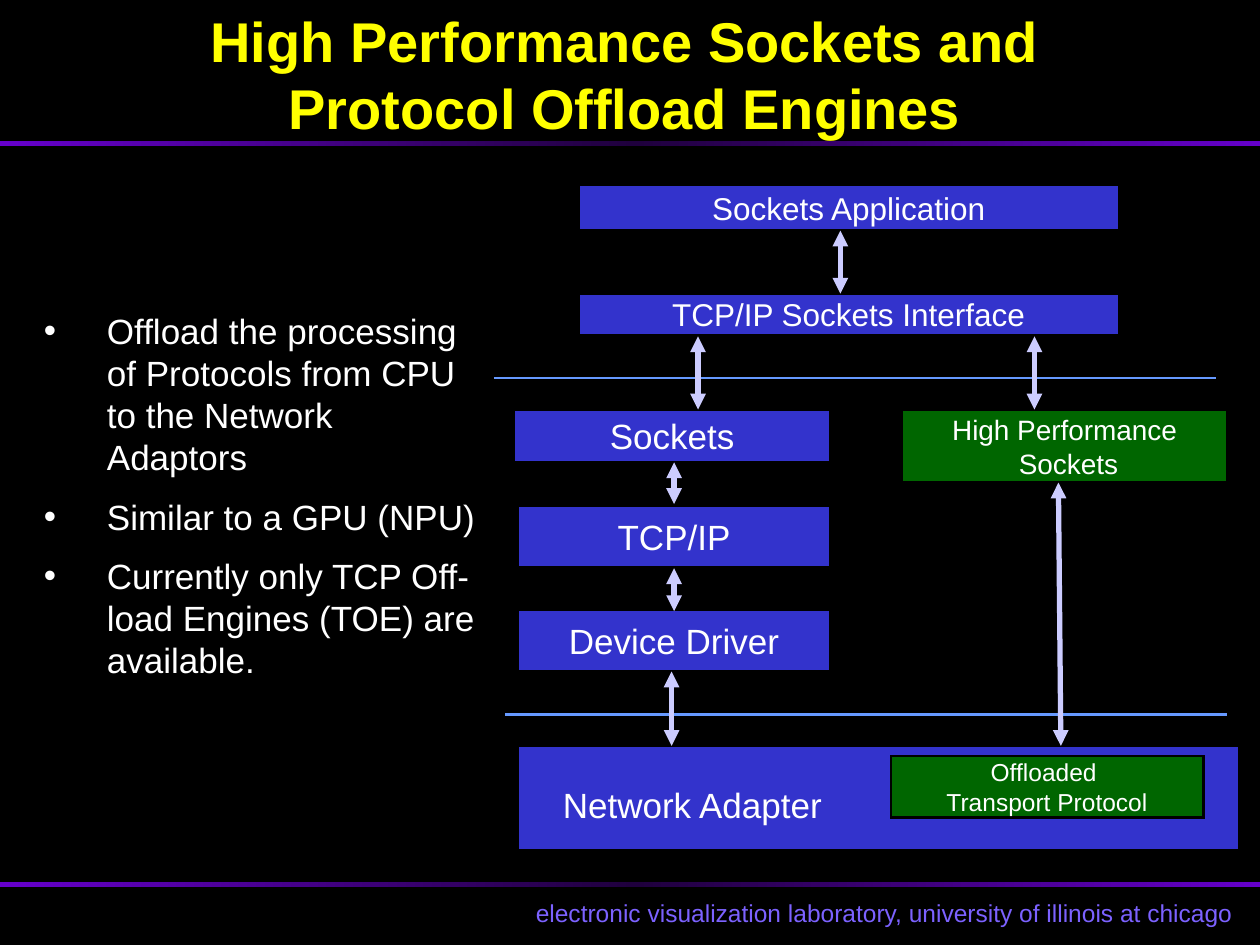
from copy import deepcopy
from pptx import Presentation
from pptx.dml.color import RGBColor
from pptx.enum.shapes import MSO_CONNECTOR as Link, MSO_SHAPE as Preset
from pptx.enum.text import MSO_ANCHOR as Anchor, MSO_AUTO_SIZE as Fit, PP_ALIGN as Align
from pptx.oxml.ns import qn
from pptx.util import Inches, Pt
from lxml.etree import SubElement

BLUE, GREEN, BLACK, WHITE = "3333CC", "006600", "000000", "FFFFFF"
YELLOW, VIOLET, LAVENDER, SKY = "FFFF00", "7C62FF", "CCCCFF", "6699FF"
RULE_STOPS = ((0, "6600CC"), (0.5, "1F003D"), (1, "6600CC"))


def color(hex_code):
    """Turn a hex string into a colour."""
    return RGBColor.from_string(hex_code)


def inches(*lengths):
    """Turn plain numbers into lengths."""
    return [Inches(length) for length in lengths]


def write(frame, lines, size, ink=WHITE, align=Align.CENTER, bold=False,
          anchor=Anchor.MIDDLE, wrap=True, gap=0):
    """Fill a text frame with one paragraph for each line."""
    frame.word_wrap, frame.vertical_anchor = wrap, anchor
    for number, line in enumerate(lines):
        para = frame.add_paragraph() if number else frame.paragraphs[0]
        para.text, para.alignment = line, align
        para.space_before = Pt(gap if number else 0)
        for run in para.runs:
            look = {"name": "Arial", "size": Pt(size), "bold": bold}
            for key, value in look.items():
                setattr(run.font, key, value)
            run.font.color.rgb = color(ink)


def add_block(slide, box, fill=None, outline=BLACK):
    """Add a plain rectangle."""
    block = slide.shapes.add_shape(Preset.RECTANGLE, *inches(*box))
    block.shadow.inherit = False
    if fill:
        block.fill.solid()
        block.fill.fore_color.rgb = color(fill)
    else:
        block.fill.background()
    if outline:
        block.line.color.rgb, block.line.width = color(outline), Pt(1.5)
        SubElement(block.line._get_or_add_ln(), qn("a:miter"), lim="800000")
    else:
        block.line.fill.background()
    return block


def add_line(slide, start, end, ink, width, arrows=False):
    """Add a straight line, with arrowheads at both ends if asked."""
    line = slide.shapes.add_connector(Link.STRAIGHT, *inches(*start, *end))
    line.line.color.rgb, line.line.width = color(ink), Pt(width)
    if arrows:
        for tag in ("a:headEnd", "a:tailEnd"):
            SubElement(line.line._get_or_add_ln(), qn(tag), type="triangle")
    SubElement(line._element.spPr, qn("a:effectLst"))


def add_rule(slide, top):
    """Add a gradient band across the slide."""
    band = add_block(slide, (0, top, 10.08, 0.04), outline=None)
    band.fill.gradient()
    band.fill.gradient_angle = 0
    stops = band.fill._fill._gradFill.find(qn("a:gsLst"))
    stops.append(deepcopy(stops[0]))
    for stop, (position, hex_code) in zip(band.fill.gradient_stops, RULE_STOPS):
        stop.position, stop.color.rgb = position, color(hex_code)


def place(shape, box):
    """Move a shape to a box."""
    for side, length in zip(("left", "top", "width", "height"), inches(*box)):
        setattr(shape, side, length)


def add_frame(slide):
    """Add the title, the two bands and the footer."""
    for top in (1.12, 7):
        add_rule(slide, top)
    title = slide.shapes.title
    place(title, (0.42, 0, 9.08, 1.17))
    write(title.text_frame, ["High Performance Sockets and\vProtocol Offload Engines"],
          32, YELLOW, bold=True)
    footer = slide.shapes.add_textbox(*inches(4.12, 7.08, 5.8, 0.33))
    write(footer.text_frame,
          ["electronic visualization laboratory, university of illinois at chicago"],
          14, VIOLET, anchor=Anchor.TOP, wrap=False)
    footer.text_frame.auto_size = Fit.SHAPE_TO_FIT_TEXT


def add_points(slide, box):
    """Add the bulleted text."""
    points = slide.shapes.add_textbox(*inches(*box))
    write(points.text_frame,
          ["Offload the processing of Protocols from CPU to the Network Adaptors",
           "Similar to a GPU (NPU)",
           "Currently only TCP Off-load Engines (TOE) are available."],
          20, align=Align.LEFT, anchor=Anchor.TOP, gap=10)
    for para in points.text_frame.paragraphs:
        props = para._p.get_or_add_pPr()
        props.set("marL", str(Inches(0.5)))
        props.set("indent", str(Inches(-0.5)))
        SubElement(props, qn("a:buFont"), typeface="Arial")
        SubElement(props, qn("a:buChar"), char="•")


def add_stack(slide, left, top):
    """Add the protocol stack, measured from its top left corner."""
    def at(x, y):
        return left + x, top + y

    add_block(slide, (left, top, 5.92, 4.92))
    for x, y in ((0.25, 1.58), (0.34, 4.25)):
        add_line(slide, at(x, y), at(x + 5.73, y), SKY, 1.5)
    layers = (
        ("TCP/IP Sockets Interface", 0.92, 0.91, 4.29, 0.33, BLUE, 18),
        ("Sockets Application", 0.92, 0.05, 4.29, 0.36, BLUE, 18),
        ("Sockets", 0.41, 1.83, 2.51, 0.42, BLUE, 20),
        ("TCP/IP", 0.44, 2.59, 2.48, 0.49, BLUE, 20),
        ("Device Driver", 0.44, 3.42, 2.48, 0.49, BLUE, 20),
        ("High Performance\v Sockets", 3.49, 1.83, 2.58, 0.58, GREEN, 16),
        ("", 0.44, 4.5, 5.73, 0.83, BLUE, 20),
        ("Offloaded \vTransport Protocol", 3.4, 4.58, 2.48, 0.49, GREEN, 14),
    )
    for label, x, y, width, height, fill, size in layers:
        layer = add_block(slide, (*at(x, y), width, height), fill)
        if label:
            write(layer.text_frame, [label], size, wrap=False)
    adapter = add_block(slide, (*at(0.63, 4.75), 2.39, 0.43), BLUE, None)
    write(adapter.text_frame, ["Network Adapter"], 20, anchor=Anchor.TOP)
    arrows = ((3, 0.41, 0.91), (1.87, 1.25, 1.83), (1.68, 2.25, 2.58),
              (1.68, 3.09, 3.43), (4.54, 1.25, 1.83), (1.66, 3.91, 4.5))
    for x, y, end in arrows:
        add_line(slide, at(x, y), at(x, end), LAVENDER, 3, arrows=True)
    add_line(slide, at(4.73, 2.41), at(4.75, 4.5), LAVENDER, 3, arrows=True)


def build():
    """Build and save the slide."""
    deck = Presentation()
    deck.slide_width, deck.slide_height = inches(10, 7.5)
    slide = deck.slides.add_slide(deck.slide_layouts[5])
    slide.background.fill.solid()
    slide.background.fill.fore_color.rgb = color(BLACK)
    add_frame(slide)
    add_stack(slide, 3.67, 1.42)
    add_points(slide, (0.25, 2.41, 3.65, 4.1))
    deck.save("out.pptx")


build()
